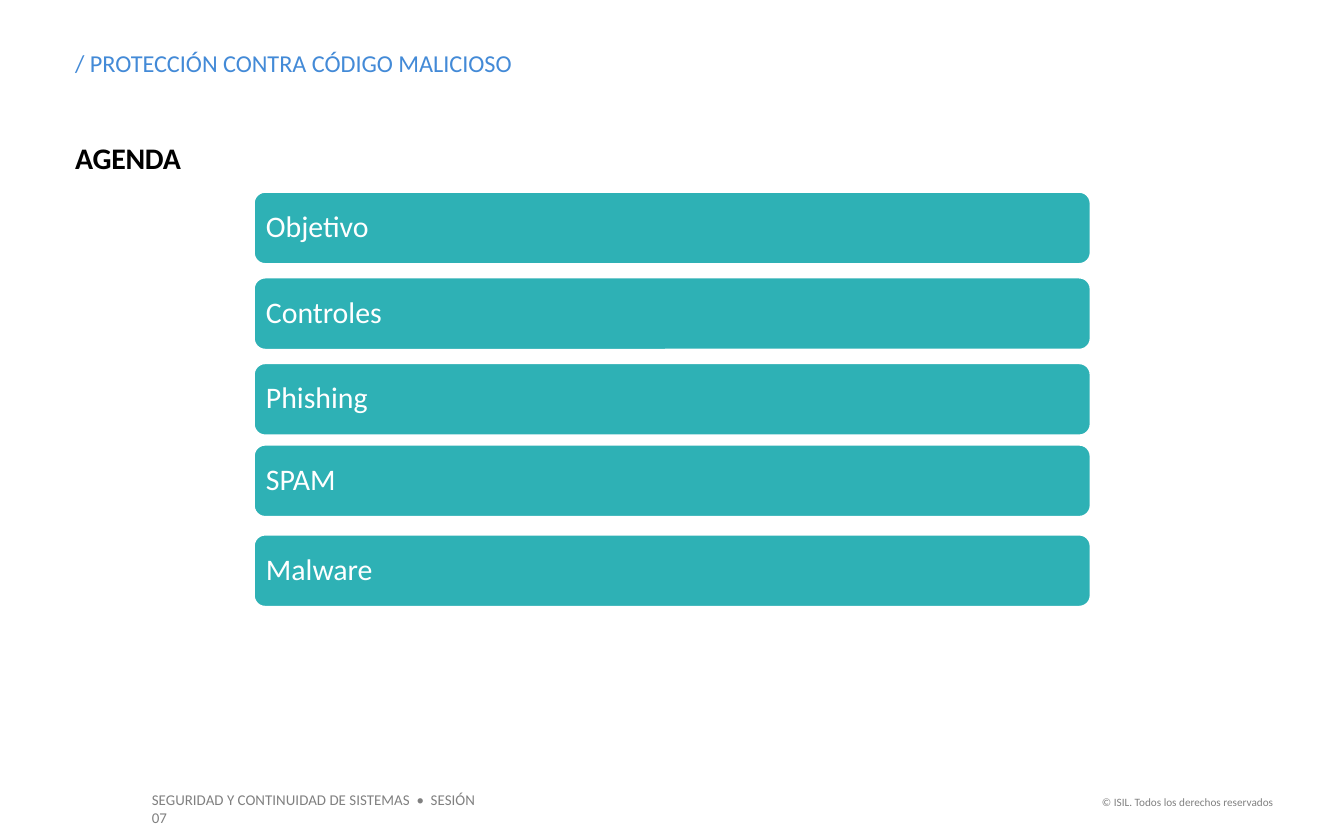
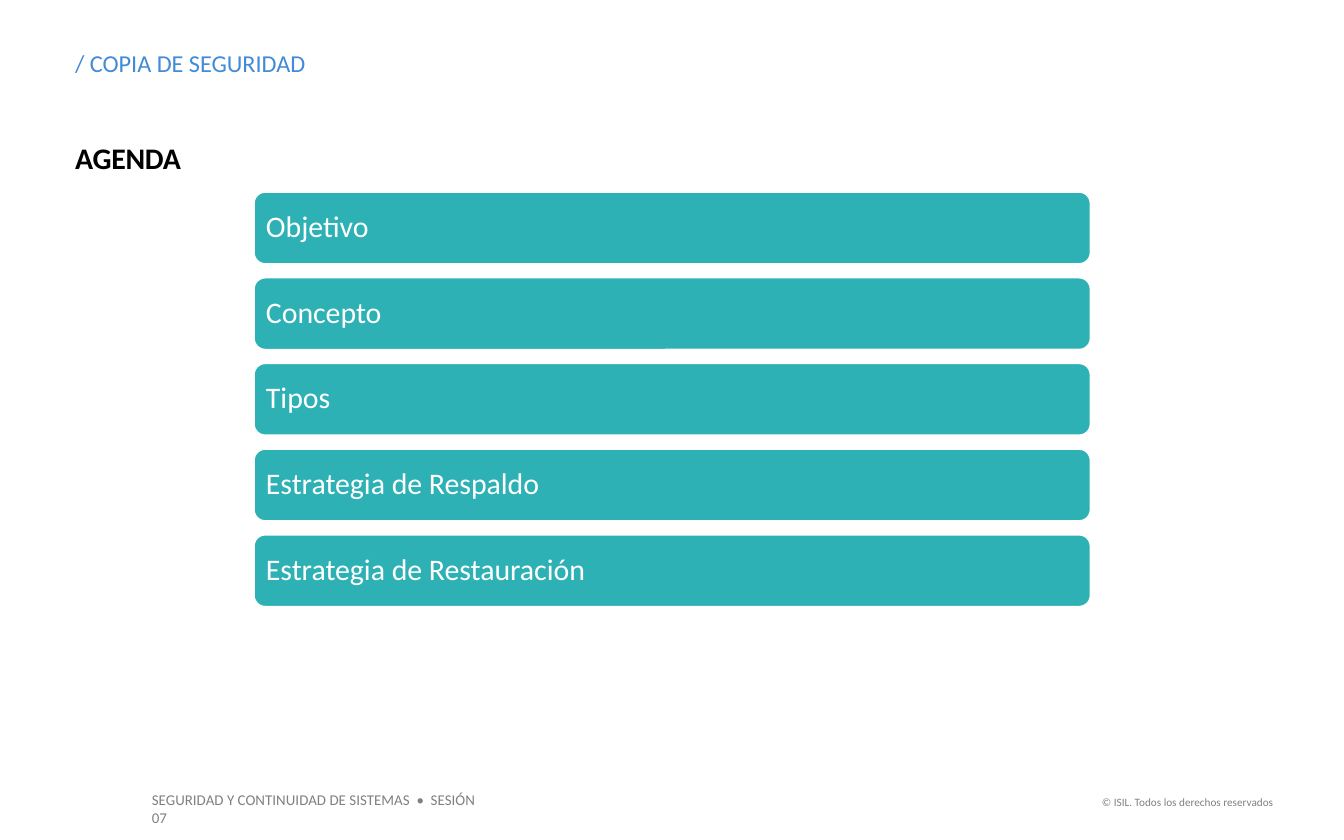
"""Build the two agenda slides of the session."""
from dataclasses import dataclass

from pptx import Presentation
from pptx.dml.color import RGBColor
from pptx.enum.shapes import MSO_SHAPE
from pptx.enum.text import MSO_ANCHOR, MSO_AUTO_SIZE, PP_ALIGN
from pptx.util import Cm, Pt

ROUNDED = MSO_SHAPE.ROUNDED_RECTANGLE
TOP, MIDDLE = MSO_ANCHOR.TOP, MSO_ANCHOR.MIDDLE
LEFT, RIGHT = PP_ALIGN.LEFT, PP_ALIGN.RIGHT
GROW = MSO_AUTO_SIZE.SHAPE_TO_FIT_TEXT
TITLE_ONLY = 5


@dataclass(frozen=True)
class Theme:
    """Colours, font and type sizes shared by the slides."""
    font: str = "Calibri"
    blue: str = "438AD7"
    teal: str = "2EB1B5"
    grey: str = "808080"
    black: str = "000000"
    white: str = "FFFFFF"
    title: int = 13
    heading: int = 16
    bar: int = 16
    footer: int = 8
    rights: int = 6


THEME = Theme()

TITLE_BOX = (1.42, 0.91, 16.76, 0.56)
HEADING_BOX = (1.42, 2.64, 22.68, 0.69)
AGENDA_BOX = (4.78, 3.61, 15.85, 7.88)
FOOTER_BOX = (2.62, 14.83, 6.96, 0.61)
RIGHTS_BOX = (20.5, 14.91, 3.81, 0.51)
BAR_HEIGHT = 1.4

AGENDAS = [
    ("/ PROTECCIÓN CONTRA CÓDIGO MALICIOSO",
     ["Objetivo", "Controles", "Phishing", "SPAM", "Malware"],
     {"SPAM": -0.08}),
    ("/ COPIA DE SEGURIDAD",
     ["Objetivo", "Concepto", "Tipos", "Estrategia de Respaldo",
      "Estrategia de Restauración"],
     {}),
]


def place(sp, box):
    """Move a shape to a box given in centimetres."""
    sp.left, sp.top, sp.width, sp.height = map(Cm, box)


def write(sp, text, size, color, align=LEFT, anchor=TOP, inset=None, bold=False):
    """Write one formatted paragraph in a shape and return its run."""
    tf = sp.text_frame
    tf.text = text
    tf.word_wrap = True
    tf.vertical_anchor = anchor
    if inset is not None:
        tf.margin_left = tf.margin_right = Cm(inset)
        tf.margin_top = tf.margin_bottom = Cm(inset)
    p = tf.paragraphs[0]
    p.alignment = align
    r = p.runs[0]
    r.font.name = THEME.font
    r.font.size = Pt(size)
    r.font.bold = bold
    r.font.color.rgb = RGBColor.from_string(color)
    return r


def add_title(s, box, text):
    """Fill the title placeholder with the topic."""
    sp = s.shapes.title
    place(sp, box)
    write(sp, text, THEME.title, THEME.blue, inset=0)
    sp.text_frame.auto_size = GROW


def add_heading(s, box, text):
    """Add the bold section heading."""
    sp = s.shapes.add_textbox(*map(Cm, box))
    r = write(sp, text, THEME.heading, THEME.black, inset=0, bold=True)
    r.font._element.set("spc", "-10")
    sp.text_frame.auto_size = GROW


def add_agenda(s, box, items, nudges):
    """Spread one rounded bar per item evenly over the box."""
    left, top, width, height = box
    pitch = (height - BAR_HEIGHT) / (len(items) - 1)
    for i, item in enumerate(items):
        y = top + i * pitch + nudges.get(item, 0)
        sp = s.shapes.add_shape(ROUNDED, Cm(left), Cm(y), Cm(width), Cm(BAR_HEIGHT))
        sp.shadow.inherit = False
        sp.fill.solid()
        sp.fill.fore_color.rgb = RGBColor.from_string(THEME.teal)
        sp.line.color.rgb = RGBColor.from_string(THEME.white)
        sp.line.width = Pt(2)
        write(sp, item, THEME.bar, THEME.white, anchor=MIDDLE, inset=0.18)
        sp.text_frame.paragraphs[0].line_spacing = 0.9


def add_footer(s, course_box, rights_box):
    """Add the course line and the rights line."""
    sp = s.shapes.add_textbox(*map(Cm, course_box))
    write(sp, "SEGURIDAD Y CONTINUIDAD DE SISTEMAS  •  SESIÓN 07",
          THEME.footer, THEME.grey)
    sp = s.shapes.add_textbox(*map(Cm, rights_box))
    write(sp, "© ISIL. Todos los derechos reservados",
          THEME.rights, THEME.grey, align=RIGHT)


def add_agenda_slide(prs, title, items, nudges):
    """Add a slide with title, heading, agenda bars and footer."""
    s = prs.slides.add_slide(prs.slide_layouts[TITLE_ONLY])
    add_footer(s, FOOTER_BOX, RIGHTS_BOX)
    add_title(s, TITLE_BOX, title)
    add_heading(s, HEADING_BOX, "AGENDA")
    add_agenda(s, AGENDA_BOX, items, nudges)


def main():
    """Build and save the presentation."""
    prs = Presentation()
    prs.slide_width, prs.slide_height = Cm(25.4), Cm(15.88)
    for title, items, nudges in AGENDAS:
        add_agenda_slide(prs, title, items, nudges)
    prs.save("out.pptx")


if __name__ == "__main__":
    main()
